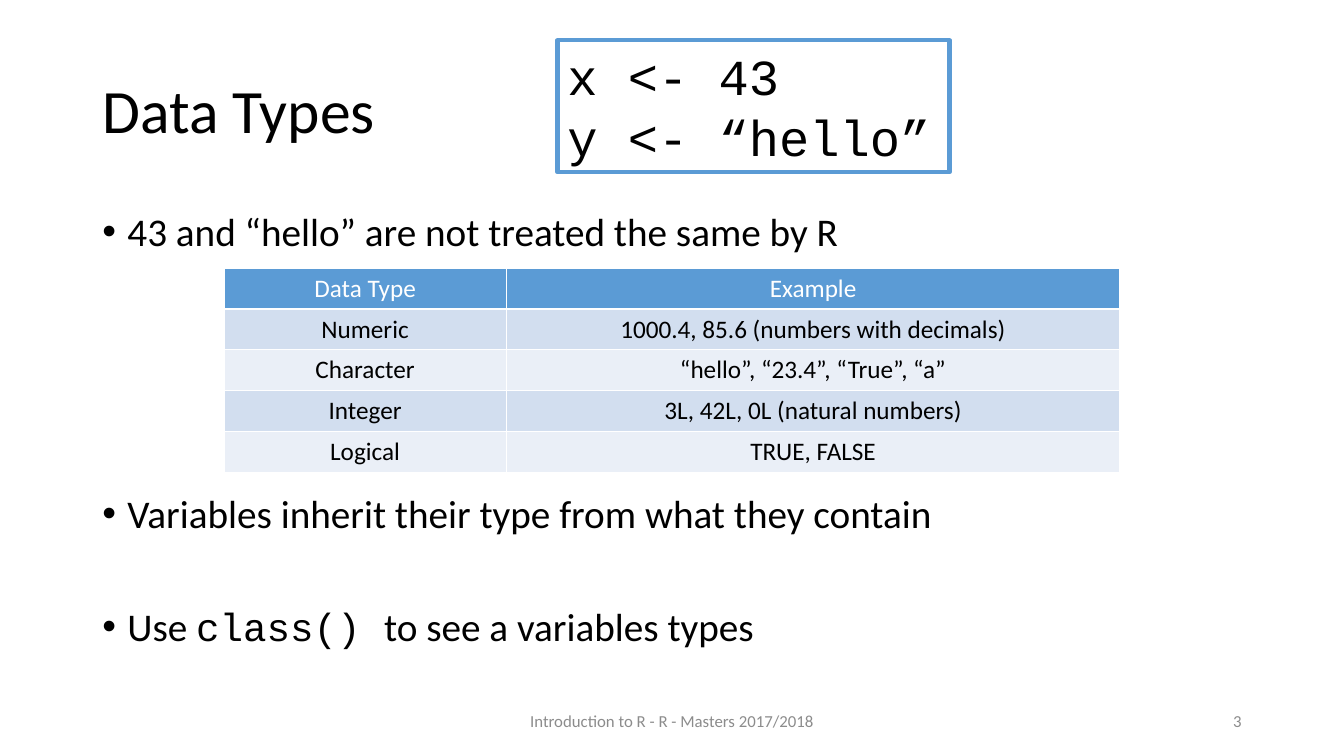
from dataclasses import dataclass

from lxml import etree
from pptx import Presentation
from pptx import util as u
from pptx.dml.color import RGBColor
from pptx.enum import shapes, text
from pptx.oxml.ns import qn

COLORS = {
    "black": "000000",
    "white": "FFFFFF",
    "gray": "8C8C8C",
    "blue": "5B9BD5",
    "band_dark": "D2DEEF",
    "band_light": "EAEFF7",
}
SANS, MONO = "Calibri", "Courier New"
LEFT, CENTER, RIGHT = text.PP_ALIGN.LEFT, text.PP_ALIGN.CENTER, text.PP_ALIGN.RIGHT
MIDDLE, TOP = text.MSO_ANCHOR.MIDDLE, text.MSO_ANCHOR.TOP


@dataclass
class Box:
    left: float
    top: float
    width: float
    height: float

    def lengths(self) -> tuple:
        return u.Pt(self.left), u.Pt(self.top), u.Pt(self.width), u.Pt(self.height)


@dataclass
class Bullet:
    space_before: float
    runs: list[tuple[str, str]]


@dataclass
class FooterItem:
    box: Box
    content: str
    alignment: text.PP_ALIGN


TITLE_BOX = Box(66, 28.8, 828, 104.4)
BODY_BOX = Box(66, 148.3, 828, 337.7)
CODE_BOX = Box(398.2, 28.8, 280, 94.3)
TABLE_BOX = Box(160, 191.5, 640, 146)
COLUMN_WIDTHS = (201.6, 438.4)

CODE_LINES = ("x <- 43", "y <- “hello”")
# The wide space before the second bullet leaves room for the table
BULLETS = (
    Bullet(10, [("43 and “hello” are not treated the same by R", SANS)]),
    Bullet(171, [("Variables inherit their type from what they contain", SANS)]),
    Bullet(50.5, [("Use ", SANS), ("class() ", MONO), ("to see a variables types", SANS)]),
)
DATA_TYPES = (
    ("Data Type", "Example"),
    ("Numeric", "1000.4, 85.6 (numbers with decimals)"),
    ("Character", "“hello”, “23.4”, “True”, “a”"),
    ("Integer", "3L, 42L, 0L (natural numbers)"),
    ("Logical", "TRUE, FALSE"),
)
FOOTER = (
    FooterItem(Box(318, 500.5, 324, 28.8), "Introduction to R - R - Masters 2017/2018", CENTER),
    FooterItem(Box(678, 500.5, 216, 28.8), "3", RIGHT),
)


def rgb(name: str) -> RGBColor:
    return RGBColor.from_string(COLORS[name])


def add_run(paragraph, content: str, size: float, color: str = "black", font: str = SANS) -> None:
    run = paragraph.add_run()
    run.text = content
    run.font.name = font
    run.font.size = u.Pt(size)
    run.font.bold = False
    run.font.color.rgb = rgb(color)


def prepare_frame(shape, anchor: text.MSO_ANCHOR):
    frame = shape.text_frame
    frame.word_wrap = True
    frame.auto_size = text.MSO_AUTO_SIZE.NONE
    frame.vertical_anchor = anchor
    return frame


def next_paragraph(frame, index: int):
    return frame.add_paragraph() if index else frame.paragraphs[0]


def add_title(slide) -> None:
    title = slide.shapes.title
    title.left, title.top, title.width, title.height = TITLE_BOX.lengths()
    paragraph = prepare_frame(title, MIDDLE).paragraphs[0]
    paragraph.alignment = LEFT
    paragraph.line_spacing = 0.9
    add_run(paragraph, "Data Types", 44)


def add_bullets(slide) -> None:
    frame = prepare_frame(slide.shapes.add_textbox(*BODY_BOX.lengths()), TOP)
    for index, bullet in enumerate(BULLETS):
        paragraph = next_paragraph(frame, index)
        paragraph.line_spacing = 0.9
        paragraph.space_before = u.Pt(bullet.space_before)
        properties = paragraph._p.get_or_add_pPr()
        properties.set("marL", str(u.Pt(18)))
        properties.set("indent", str(u.Pt(-18)))
        etree.SubElement(properties, qn("a:buFont")).set("typeface", "Arial")
        etree.SubElement(properties, qn("a:buChar")).set("char", "•")
        for content, font in bullet.runs:
            add_run(paragraph, content, 28, font=font)


def add_footer_item(slide, item: FooterItem) -> None:
    frame = prepare_frame(slide.shapes.add_textbox(*item.box.lengths()), MIDDLE)
    frame.paragraphs[0].alignment = item.alignment
    add_run(frame.paragraphs[0], item.content, 12, "gray")


def add_code(slide) -> None:
    shape = slide.shapes.add_shape(shapes.MSO_SHAPE.RECTANGLE, *CODE_BOX.lengths())
    shape.shadow.inherit = False
    shape.fill.solid()
    shape.fill.fore_color.rgb = rgb("white")
    shape.line.color.rgb = rgb("blue")
    shape.line.width = u.Pt(3)
    frame = prepare_frame(shape, TOP)
    for index, line in enumerate(CODE_LINES):
        paragraph = next_paragraph(frame, index)
        paragraph.alignment = LEFT
        add_run(paragraph, line, 36, font=MONO)


def set_borders(cell) -> None:
    properties = cell._tc.get_or_add_tcPr()
    for position, side in enumerate(("a:lnL", "a:lnR", "a:lnT", "a:lnB")):
        line = etree.Element(qn(side), w=str(u.Pt(1)))
        fill = etree.SubElement(line, qn("a:solidFill"))
        etree.SubElement(fill, qn("a:srgbClr")).set("val", COLORS["white"])
        properties.insert(position, line)


def add_data_types(slide) -> None:
    frame = slide.shapes.add_table(len(DATA_TYPES), len(COLUMN_WIDTHS), *TABLE_BOX.lengths())
    table = frame.table
    for column, width in zip(table.columns, COLUMN_WIDTHS):
        column.width = u.Pt(width)
    for row_index, row in enumerate(DATA_TYPES):
        table.rows[row_index].height = u.Pt(TABLE_BOX.height / len(DATA_TYPES))
        band = "band_dark" if row_index % 2 else "band_light"
        for column_index, content in enumerate(row):
            cell = table.cell(row_index, column_index)
            cell.fill.solid()
            cell.fill.fore_color.rgb = rgb(band if row_index else "blue")
            set_borders(cell)
            paragraph = cell.text_frame.paragraphs[0]
            paragraph.alignment = CENTER
            add_run(paragraph, content, 18, "black" if row_index else "white")


def main() -> None:
    presentation = Presentation()
    presentation.slide_width, presentation.slide_height = u.Pt(960), u.Pt(540)
    slide = presentation.slides.add_slide(presentation.slide_layouts[5])

    # Heading and bullet points
    add_title(slide)
    add_bullets(slide)

    # Footer and slide number
    for item in FOOTER:
        add_footer_item(slide, item)

    # Code sample and table of types
    add_code(slide)
    add_data_types(slide)

    presentation.save("out.pptx")


if __name__ == "__main__":
    main()
